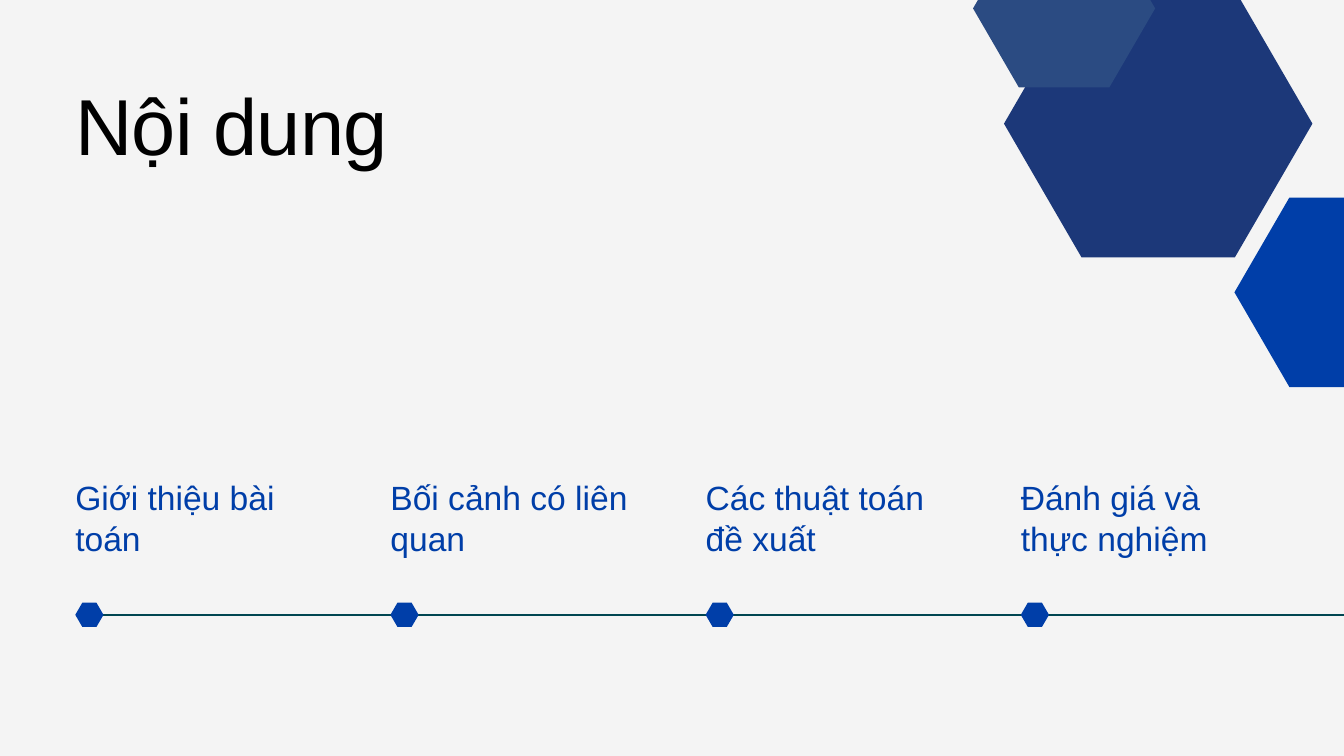
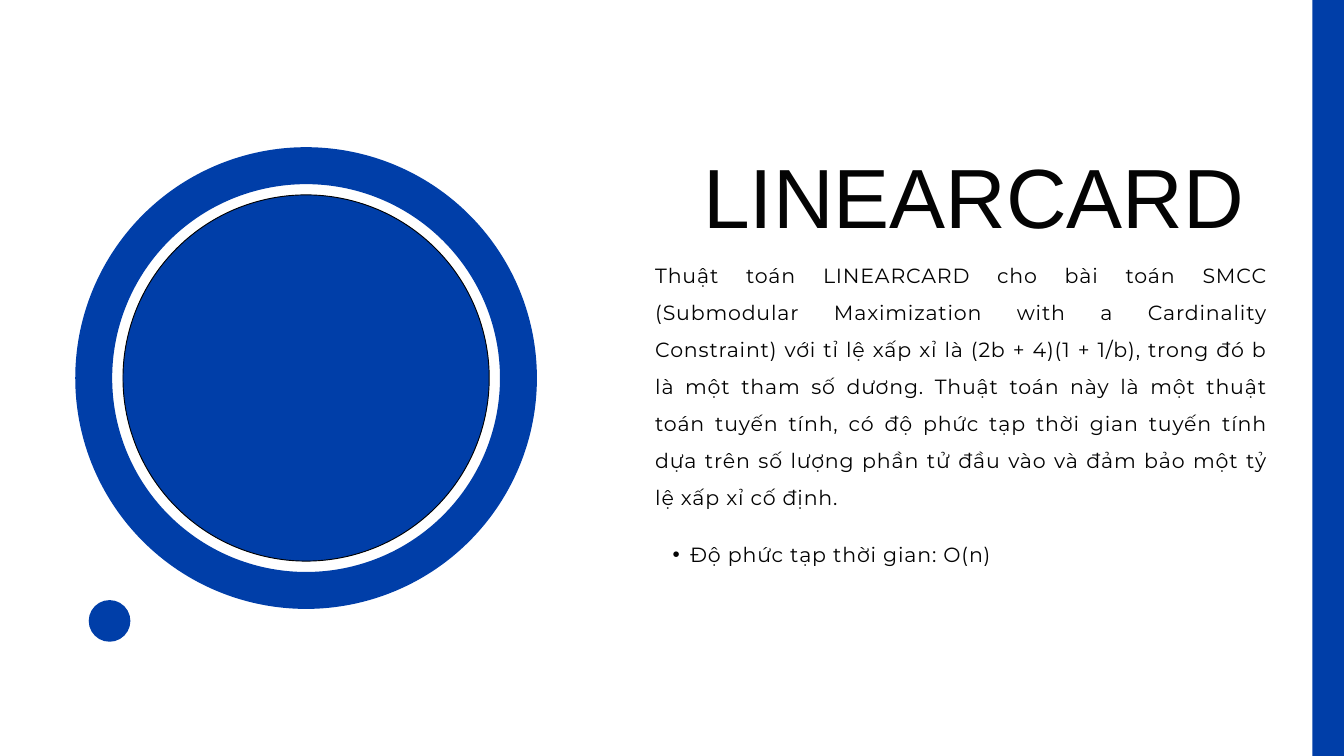
"""Builds the contents slide and the LINEARCARD slide."""
from dataclasses import dataclass
from typing import NamedTuple, Optional

from lxml.etree import SubElement
from pptx import Presentation
from pptx.dml.color import RGBColor as Rgb
from pptx.enum.shapes import MSO_CONNECTOR as Connector, MSO_SHAPE as Preset
from pptx.enum.text import MSO_ANCHOR as Anchor, MSO_AUTO_SIZE as AutoSize, PP_ALIGN as Align
from pptx.oxml.ns import qn
from pptx.util import Emu, Inches, Pt

WIDTH, HEIGHT = Inches(20), Inches(11.25)


@dataclass(frozen=True)
class Theme:
    """Colours, fonts and type sizes shared by the slides."""
    blue: str = "003EA8"
    navy: str = "1C3879"
    slate: str = "2B4B82"
    teal: str = "004651"
    black: str = "000000"
    ink: str = "040404"
    mist: str = "F4F4F4"
    white: str = "FFFFFF"
    heading_font: str = "Arial"
    body_font: str = "Montserrat"
    contents_size: float = 85
    algorithm_size: float = 90
    label_size: float = 36
    body_size: float = 22


THEME = Theme()


class Box(NamedTuple):
    """A place in percent of the slide's width and height."""
    left: float
    top: float
    width: float
    height: float

    def emu(self) -> tuple:
        """Return left, top, width and height as lengths."""
        return across(self.left), down(self.top), across(self.width), down(self.height)


class TextStyle(NamedTuple):
    """How one paragraph is set, in points."""
    font: str
    size: float
    colour: str
    leading: float
    align: Align = Align.LEFT
    tracking: float = 0


class Figure(NamedTuple):
    """A filled preset shape."""
    preset: Preset
    box: Box
    fill: str
    outline: Optional[str] = None
    adjustment: Optional[float] = None


CONTENTS_TITLE = TextStyle(THEME.heading_font, THEME.contents_size, THEME.black, 102, tracking=-0.8)
ALGORITHM_TITLE = TextStyle(THEME.heading_font, THEME.algorithm_size, THEME.ink, 99, Align.RIGHT)
LABEL = TextStyle(THEME.heading_font, THEME.label_size, THEME.blue, 43.2)
BODY = TextStyle(THEME.body_font, THEME.body_size, THEME.ink, 39.6, Align.JUSTIFY, 0.9)

MARGIN = 5.6
COLUMN_STEP = 23.45
TIMELINE_ROW = 81.33
MARKER_WIDTH, MARKER_HEIGHT = 2.1, 3.2
HEXAGON_SLANT = 0.29
RING_THICKNESS = 0.08

TOPICS = ("Giới thiệu bài toán", "Bối cảnh có liên quan",
          "Các thuật toán đề xuất", "Đánh giá và thực nghiệm")
SUMMARY = ("Thuật toán LINEARCARD cho bài toán SMCC (Submodular Maximization with a "
           "Cardinality Constraint) với tỉ lệ xấp xỉ là (2b + 4)(1 + 1/b), trong đó b là một "
           "tham số dương. Thuật toán này là một thuật toán tuyến tính, có độ phức tạp thời "
           "gian tuyến tính dựa trên số lượng phần tử đầu vào và đảm bảo một tỷ lệ xấp xỉ cố định.")
COMPLEXITY = "Độ phức tạp thời gian: O(n)"


def across(percent: float) -> Emu:
    """Turn a share of the slide's width into a length."""
    return Emu(round(WIDTH * percent / 100))


def down(percent: float) -> Emu:
    """Turn a share of the slide's height into a length."""
    return Emu(round(HEIGHT * percent / 100))


def hexagon(box: Box, fill: str) -> Figure:
    """Describe a regular hexagon."""
    return Figure(Preset.HEXAGON, box, fill, adjustment=HEXAGON_SLANT)


def draw_figure(slide, figure: Figure) -> None:
    """Draw a preset shape without a shadow."""
    shape = slide.shapes.add_shape(figure.preset, *figure.box.emu())
    shape.shadow.inherit = False
    if figure.adjustment is not None:
        shape.adjustments[0] = figure.adjustment
    shape.fill.solid()
    shape.fill.fore_color.rgb = Rgb.from_string(figure.fill)
    if figure.outline:
        shape.line.color.rgb = Rgb.from_string(figure.outline)
        shape.line.width = Pt(1)
    else:
        shape.line.fill.background()


def set_text(shape, text: str, style: TextStyle, bulleted: bool = False) -> None:
    """Fill a shape with one styled paragraph."""
    frame = shape.text_frame
    frame.margin_left = frame.margin_top = frame.margin_right = frame.margin_bottom = 0
    frame.word_wrap = True
    frame.vertical_anchor = Anchor.TOP
    frame.auto_size = AutoSize.SHAPE_TO_FIT_TEXT
    paragraph = frame.paragraphs[0]
    run = paragraph.add_run()
    run.text = text
    paragraph.alignment = style.align
    paragraph.line_spacing = Pt(style.leading)
    if bulleted:
        properties = paragraph._p.get_or_add_pPr()
        properties.set("marL", str(Inches(0.52)))
        properties.set("indent", str(Inches(-0.26)))
        SubElement(properties, qn("a:buFont")).set("typeface", "Arial")
        SubElement(properties, qn("a:buChar")).set("char", "•")
    paragraph.font.name = style.font
    paragraph.font.size = Pt(style.size)
    paragraph.font.color.rgb = Rgb.from_string(style.colour)
    if style.tracking:
        run._r.get_or_add_rPr().set("spc", str(round(style.tracking * 100)))


def add_text(slide, box: Box, text: str, style: TextStyle, bulleted: bool = False) -> None:
    """Add a text box."""
    set_text(slide.shapes.add_textbox(*box.emu()), text, style, bulleted)


def add_titled_slide(deck, background: str, title: str, box: Box, style: TextStyle):
    """Add a title-only slide with its background and placed title."""
    slide = deck.slides.add_slide(deck.slide_layouts[5])
    slide.background.fill.solid()
    slide.background.fill.fore_color.rgb = Rgb.from_string(background)
    heading = slide.shapes.title
    heading.left, heading.top, heading.width, heading.height = box.emu()
    set_text(heading, title, style)
    return slide


def draw_timeline(slide) -> None:
    """Draw the line, its markers and the topic labels."""
    row = down(TIMELINE_ROW)
    axis = slide.shapes.add_connector(Connector.STRAIGHT, across(6.95), row, WIDTH, row)
    axis.line.color.rgb = Rgb.from_string(THEME.teal)
    axis.line.width = Pt(1.5)
    SubElement(axis._element.spPr, qn("a:effectLst"))
    for column, topic in enumerate(TOPICS):
        left = MARGIN + column * COLUMN_STEP
        add_text(slide, Box(left, 63.11, 18.4, 10.49), topic, LABEL)
        marker = Box(left, TIMELINE_ROW - MARKER_HEIGHT / 2, MARKER_WIDTH, MARKER_HEIGHT)
        draw_figure(slide, hexagon(marker, THEME.blue))


def build_contents(deck) -> None:
    """Build the contents slide."""
    slide = add_titled_slide(deck, THEME.mist, "Nội dung",
                             Box(MARGIN, 10.13, 31.15, 12.44), CONTENTS_TITLE)
    draw_timeline(slide)
    for cell in (hexagon(Box(91.85, 26.13, 16.3, 25.07), THEME.blue),
                 hexagon(Box(74.7, -1.33, 22.95, 35.38), THEME.navy),
                 hexagon(Box(72.4, -9.33, 13.55, 20.89), THEME.slate)):
        draw_figure(slide, cell)


def build_algorithm(deck) -> None:
    """Build the LINEARCARD slide."""
    slide = add_titled_slide(deck, THEME.white, "LINEARCARD",
                             Box(46.65, 20.27, 47.7, 12.53), ALGORITHM_TITLE)
    slide.shapes.title.text_frame.margin_right = Inches(0.35)
    edge_band = Figure(Preset.RECTANGLE, Box(97.65, -2.58, 3.25, 105.96), THEME.blue)
    dot = Figure(Preset.OVAL, Box(6.6, 79.38, 3.1, 5.51), THEME.blue)
    disc = Figure(Preset.OVAL, Box(9.15, 25.78, 27.25, 48.44), THEME.blue, THEME.black)
    ring = Figure(Preset.DONUT, Box(MARGIN, 19.47, 34.35, 61.07), THEME.blue,
                  adjustment=RING_THICKNESS)
    for figure in (edge_band, dot, disc, ring):
        draw_figure(slide, figure)
    add_text(slide, Box(48.75, 33.16, 45.6, 33.24), SUMMARY, BODY)
    add_text(slide, Box(48.75, 70.04, 45.6, 4.36), COMPLEXITY, BODY, bulleted=True)


def main() -> None:
    """Build and save the deck."""
    deck = Presentation()
    deck.slide_width, deck.slide_height = WIDTH, HEIGHT
    build_contents(deck)
    build_algorithm(deck)
    deck.save("out.pptx")


if __name__ == "__main__":
    main()
